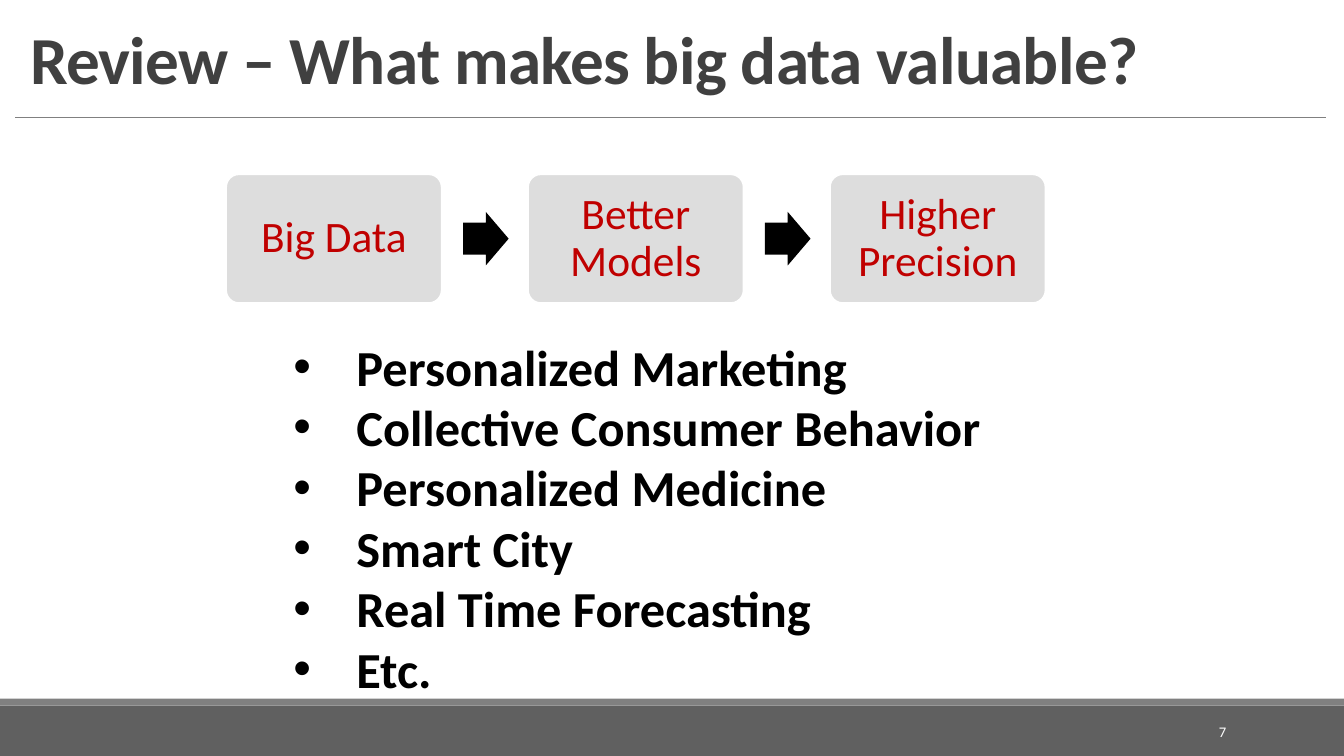
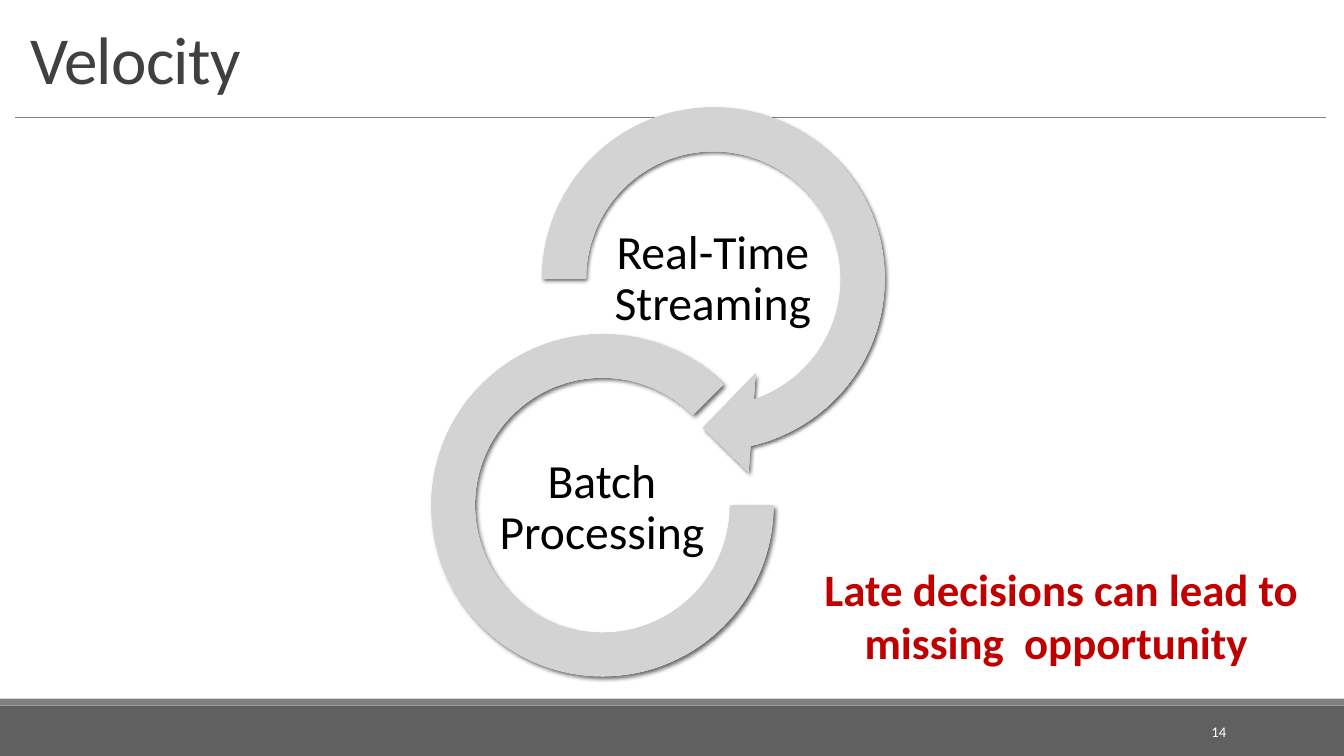
"""Build two slides on what big data is worth and how fast it moves."""
from pptx import Presentation
from pptx.dml.color import RGBColor
from pptx.enum.shapes import MSO_CONNECTOR, MSO_SHAPE
from pptx.enum.text import MSO_ANCHOR, MSO_AUTO_SIZE, PP_ALIGN
from pptx.oxml import parse_xml
from pptx.oxml.ns import nsdecls
from pptx.oxml.xmlchemy import OxmlElement
from pptx.util import Pt

WIDE, HIGH = 960, 540
FACE = "Calibri"
BLACK = RGBColor(0x00, 0x00, 0x00)
WHITE = RGBColor(0xFF, 0xFF, 0xFF)
RED = RGBColor(0xC0, 0x00, 0x00)
DARK = RGBColor(0x40, 0x40, 0x40)
BAND = RGBColor(0x60, 0x60, 0x60)
RULE = RGBColor(0x80, 0x80, 0x80)
PALE = RGBColor(0xDD, 0xDD, 0xDD)

STOPS = ((0, "CECECE"), (34, "D0D0D0"), (70, "D3D3D3"), (100, "DDDDDD"))
EDGES = ("margin_left", "margin_top", "margin_right", "margin_bottom")
MID = {"vertical_anchor": MSO_ANCHOR.MIDDLE}
GROW = {"auto_size": MSO_AUTO_SIZE.SHAPE_TO_FIT_TEXT}
TIGHT = {"alignment": PP_ALIGN.CENTER, "line_spacing": 0.9}


def pts(*sizes):
    """Turn numbers into point lengths."""
    return [Pt(size) for size in sizes]


def apply(thing, values):
    """Set each named value on a thing."""
    for name, value in values.items():
        setattr(thing, name, value)


def inset(size):
    """Give the same margin on all four edges."""
    return {edge: Pt(size) for edge in EDGES}


def write(frame, lines, size, color, bold=False, box=None, para=None):
    """Fill a frame with one paragraph for each line."""
    apply(frame, {"word_wrap": True, **(box or {})})
    for place, line in enumerate(lines):
        part = frame.add_paragraph() if place else frame.paragraphs[0]
        apply(part, para or {})
        run = part.add_run()
        run.text = line
        apply(run.font, {"name": FACE, "size": Pt(size), "bold": bold})
        run.font.color.rgb = color
    return frame


def add_text(slide, area, lines, size, color, **style):
    """Add a text box and write its lines."""
    label = slide.shapes.add_textbox(*pts(*area))
    return write(label.text_frame, lines, size, color, **style)


def add_form(slide, kind, area, color=None, turns=(), edge=None):
    """Add a flat preset shape."""
    form = slide.shapes.add_shape(kind, *pts(*area))
    form.shadow.inherit = False
    for place, value in enumerate(turns):
        form.adjustments[place] = value
    if color is not None:
        form.fill.solid()
        form.fill.fore_color.rgb = color
    if edge is None:
        form.line.fill.background()
    else:
        form.line.color.rgb = edge
        form.line.width = Pt(1.25)
    return form


def add_ring(slide, kind, area, turns):
    """Add a shaded ring with a soft shadow."""
    props = add_form(slide, kind, area, turns=turns)._element.spPr
    stops = "".join(
        f'<a:gs pos="{place * 1000}"><a:srgbClr val="{color}"/></a:gs>'
        for place, color in STOPS)
    shade = parse_xml(
        f'<a:gradFill {nsdecls("a")} rotWithShape="1"><a:gsLst>{stops}</a:gsLst>'
        '<a:path path="circle"><a:fillToRect l="100000" t="100000" '
        'r="100000" b="100000"/></a:path></a:gradFill>')
    props.insert(2, shade)
    cast = parse_xml(
        f'<a:outerShdw {nsdecls("a")} blurRad="{Pt(3)}" dist="{Pt(2)}" '
        'dir="2700000" rotWithShape="0"><a:srgbClr val="000000">'
        '<a:alpha val="60000"/></a:srgbClr></a:outerShdw>')
    props.effectLst.append(cast) if hasattr(props, "effectLst") else \
        props[-1].append(cast)


def add_rule(slide, left, right, top):
    """Draw the thin line below the title."""
    rule = slide.shapes.add_connector(
        MSO_CONNECTOR.STRAIGHT, *pts(left, top, right, top))
    rule.line.color.rgb = RULE
    rule.line.width = Pt(0.5)
    rule._element.spPr.append(OxmlElement("a:effectLst"))


def add_list(slide, area, lines, size, indent):
    """Add a bold list with hanging bullets."""
    frame = add_text(slide, area, lines, size, BLACK, bold=True, box=GROW)
    for part in frame.paragraphs:
        props = part._p.get_or_add_pPr()
        props.set("marL", str(Pt(indent)))
        props.set("indent", str(-Pt(indent)))
        for tag, key, value in (("a:buFont", "typeface", "Arial"),
                                ("a:buChar", "char", "•")):
            mark = OxmlElement(tag)
            mark.set(key, value)
            props.append(mark)


def start(deck, title, number, bold=False):
    """Add a slide with its bands, rule, title and number."""
    slide = deck.slides.add_slide(deck.slide_layouts[6])
    add_form(slide, MSO_SHAPE.RECTANGLE, (0, 504, WIDE, 36), BAND)
    add_form(slide, MSO_SHAPE.RECTANGLE, (0, 499, WIDE, 5), RULE)
    add_rule(slide, 10.8, 947.5, 83.6)
    head = add_text(slide, (14.4, 10.8, 931, 62.6), [title], 48, DARK, bold=bold,
                    box={"vertical_anchor": MSO_ANCHOR.BOTTOM},
                    para={"line_spacing": 0.85})
    head.paragraphs[0].runs[0]._r.get_or_add_rPr().set("spc", "-50")
    add_text(slide, (780, 508.5, 103, 28.8), [number], 10.5, WHITE,
             box=MID, para={"alignment": PP_ALIGN.RIGHT})
    return slide


def add_flow(slide, steps):
    """Add a row of cards joined by block arrows."""
    left, pitch = 161.5, 215.65
    for place, step in enumerate(steps):
        x = left + place * pitch
        if place:
            add_form(slide, MSO_SHAPE.RIGHT_ARROW, (x - 46.4, 151.4, 32.6, 38.2),
                     BLACK, (0.6, 0.5))
        card = add_form(slide, MSO_SHAPE.ROUNDED_RECTANGLE, (x, 124.5, 154, 92),
                        PALE, (0.1,), WHITE)
        write(card.text_frame, [step], 31, RED, box={**MID, **inset(9.3)},
              para=TIGHT)


def show_value(deck):
    """Build the slide on what makes big data valuable."""
    slide = start(deck, "Review – What makes big data valuable?", "7", True)
    add_flow(slide, ("Big Data", "Better Models", "Higher Precision"))
    uses = ("Personalized Marketing", "Collective Consumer Behavior",
            "Personalized Medicine", "Smart City", "Real Time Forecasting",
            "Etc.")
    add_list(slide, (202.5, 236.2, 554.4, 312.5), uses, 36, 45)


def show_speed(deck):
    """Build the slide on velocity."""
    slide = start(deck, "Velocity", "14")
    rings = (
        (MSO_SHAPE.CIRCULAR_ARROW, (367.4, 56.9, 284.4, 284.4),
         (0.11, 11.42, 45, 108, 0.125), "Real-Time Streaming", (430, 160)),
        (MSO_SHAPE.BLOCK_ARC, (308.2, 238.8, 244.3, 244.3),
         (0, 189, 0.127), "Batch Processing", (350.8, 323.6)),
    )
    for kind, area, turns, label, spot in rings:
        add_ring(slide, kind, area, turns)
        add_text(slide, (*spot, 158.4, 79), [label], 34, BLACK,
                 box={**MID, **inset(1.7)}, para=TIGHT)
    add_text(slide, (571.7, 397.4, 373, 85),
             ["Late decisions can lead to missing  opportunity "], 32, RED,
             bold=True, box=GROW, para={"alignment": PP_ALIGN.CENTER})


def main():
    """Build and save the deck."""
    deck = Presentation()
    apply(deck, {"slide_width": Pt(WIDE), "slide_height": Pt(HIGH)})
    show_value(deck)
    show_speed(deck)
    deck.save("out.pptx")


if __name__ == "__main__":
    main()
